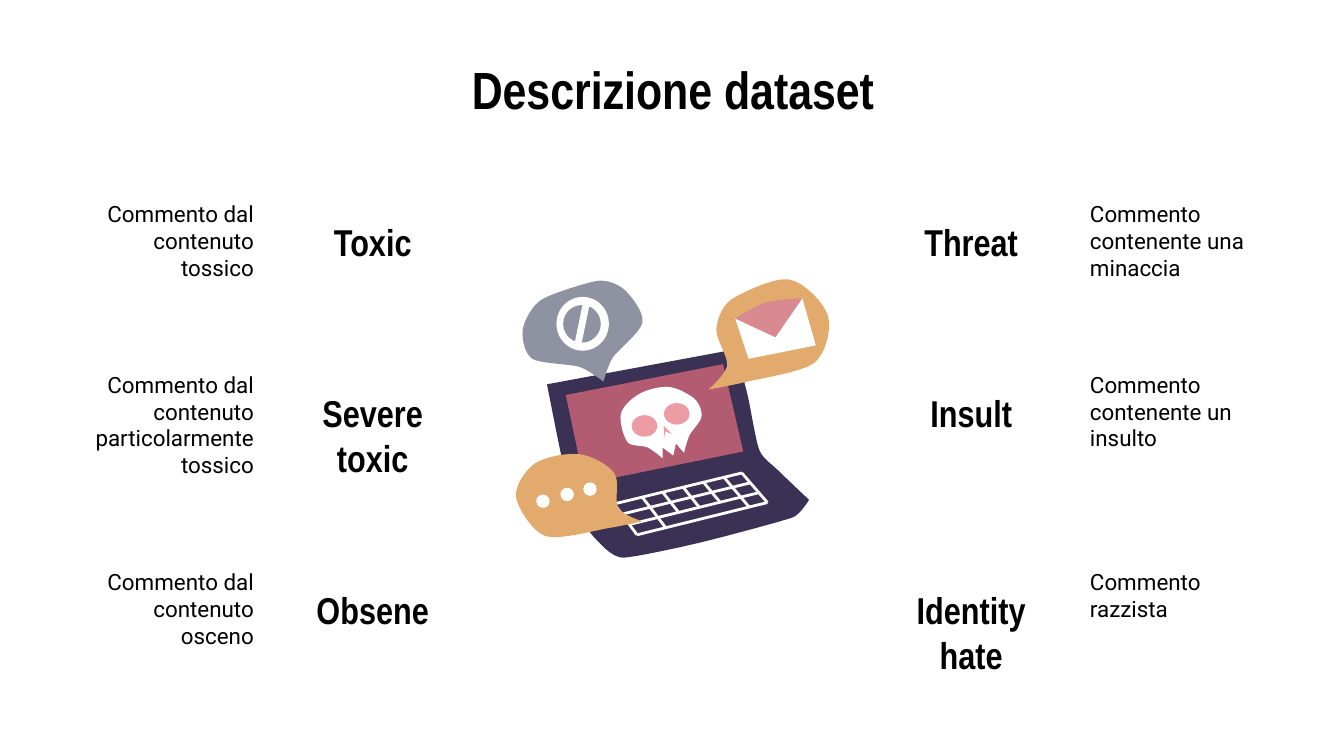
"""Build the dataset description slide with its laptop illustration."""
import math

import lxml.etree
import pptx
import pptx.dml.color
import pptx.enum.shapes
import pptx.enum.text
import pptx.oxml.ns
import pptx.util

Cm = pptx.util.Cm
ALIGN = pptx.enum.text.PP_ALIGN

COLOURS = {
    "black": "000000", "white": "FFFFFF", "navy": "3B3155", "screen": "B35C71",
    "pink": "EB9DA3", "flap": "D98A90", "orange": "E2AA6C", "grey": "8F92A1",
}
SLIDE_WIDTH, SLIDE_HEIGHT = 25.4, 14.29
ROW_TOPS = (3.53, 6.76, 10.49)
DESCRIPTION = {"left": 1.27, "width": 3.78, "drop": 0, "line": 0.51}
LABEL = {"left": 5.28, "width": 3.53, "drop": 0.36, "line": 0.87}

LEFT_CLASSES = [
    ("Toxic", 1, "Commento dal contenuto tossico", 3),
    ("Severe toxic", 2, "Commento dal contenuto particolarmente tossico", 4),
    ("Obsene", 1, "Commento dal contenuto osceno", 3),
]
RIGHT_CLASSES = [
    ("Threat", 1, "Commento contenente una minaccia", 3),
    ("Insult", 1, "Commento contenente un insulto", 3),
    ("Identity hate", 2, "Commento razzista", 2),
]

ART_UNIT = Cm(0.0254)
CURVE_STEPS = 8
CORNER_COSINE = 0.3
LAPTOP = [(547, 260), (407, 286), (426, 376), (447, 405), (464, 415), (520, 404),
          (590, 385), (602, 372), (580, 351), (565, 335), (556, 293)]
SCREEN = [(538, 271), (421, 294), (435, 360), (553, 336)]
KEYBOARD = [(457, 375), (552, 352), (571, 374), (474, 398)]
SKULL = [(498, 288), (476, 293), (462, 308), (467, 329), (482, 333), (493, 341), (493, 333),
         (501, 339), (503, 330), (509, 337), (513, 324), (522, 310), (517, 297)]
NOSE = [(494, 317), (494, 327), (495, 321), (500, 323)]
CHAT_BUBBLE = [(431, 338), (398, 345), (384, 370), (406, 399), (453, 393), (478, 388),
               (460, 378), (457, 352)]
MAIL_BUBBLE = [(587, 208), (544, 223), (533, 245), (541, 272), (527, 290), (556, 284),
               (606, 270), (616, 235)]
BAN_BUBBLE = [(445, 209), (403, 223), (389, 245), (396, 267), (431, 273), (449, 284),
              (456, 266), (478, 240), (465, 216)]
ENVELOPE = [(547, 237), (557, 267), (607, 257), (597, 222)]
FLAP = [(547, 237), (577, 251), (597, 222), (570, 225)]
SLASH = [(434, 224), (427, 258), (432, 259), (439, 225)]
EYES = [(470, 309), (494, 300)]
DOTS = [(399, 368), (417, 363), (434, 359)]


def rgb(name):
    return pptx.dml.color.RGBColor.from_string(COLOURS[name])


def add_text(slide, text, left, top, width, height, *, size, font, bold=False,
             align=ALIGN.CENTER, anchor=pptx.enum.text.MSO_ANCHOR.TOP):
    box = slide.shapes.add_textbox(Cm(left), Cm(top), Cm(width), Cm(height))
    frame = box.text_frame
    frame.word_wrap = True
    frame.vertical_anchor = anchor
    frame.margin_left = frame.margin_right = Cm(0.25)
    frame.margin_top = frame.margin_bottom = Cm(0.25)
    paragraph = frame.paragraphs[0]
    paragraph.alignment = align
    run = paragraph.add_run()
    run.text = text
    run.font.size = pptx.util.Pt(size)
    run.font.name = font
    run.font.bold = bold
    run.font.color.rgb = rgb("black")


def add_column(slide, classes, align, mirrored):
    for top, (label, label_lines, description, description_lines) in zip(ROW_TOPS, classes):
        for text, lines, column, style in (
            (description, description_lines, DESCRIPTION,
             {"size": 12, "font": "Roboto", "align": align}),
            (label, label_lines, LABEL, {"size": 20, "font": "Arial Narrow", "bold": True}),
        ):
            left, width = column["left"], column["width"]
            if mirrored:
                left = SLIDE_WIDTH - left - width
            add_text(slide, text, left, top + column["drop"], width,
                     0.5 + column["line"] * lines, **style)


def paint(shape, colour):
    shape.fill.solid()
    shape.fill.fore_color.rgb = rgb(colour)
    shape.line.fill.background()
    shape.shadow.inherit = False


def tangent(before, point, after):
    ax, ay = point[0] - before[0], point[1] - before[1]
    bx, by = after[0] - point[0], after[1] - point[1]
    lengths = math.hypot(ax, ay), math.hypot(bx, by)
    if ax * bx + ay * by < CORNER_COSINE * lengths[0] * lengths[1]:
        return 0, 0
    reach = min(lengths) / sum(lengths)
    return (ax + bx) * reach, (ay + by) * reach


def smooth(points):
    count = len(points)
    tangents = [tangent(points[i - 1], points[i], points[(i + 1) % count])
                for i in range(count)]
    curve = []
    for i in range(count):
        j = (i + 1) % count
        for step in range(CURVE_STEPS):
            t = step / CURVE_STEPS
            ease = t * t * (3 - 2 * t)
            leave, arrive = t * (1 - t) ** 2, t * t * (t - 1)
            curve.append(tuple(
                points[i][k] * (1 - ease) + points[j][k] * ease
                + tangents[i][k] * leave + tangents[j][k] * arrive for k in (0, 1)))
    return curve


def add_outline(group, colour, points, curved=True):
    if curved:
        points = smooth(points)
    points = [(x * ART_UNIT, y * ART_UNIT) for x, y in points]
    builder = group.shapes.build_freeform(*points[0])
    builder.add_line_segments(points[1:], close=True)
    paint(builder.convert_to_shape(), colour)


def add_oval(group, colour, left, top, width, height):
    box = [round(value * ART_UNIT) for value in (left, top, width, height)]
    paint(group.shapes.add_shape(pptx.enum.shapes.MSO_SHAPE.OVAL, *box), colour)


def between(start, end, share):
    return tuple(a + (b - a) * share for a, b in zip(start, end))


def add_key_line(group, start, end):
    ends = [round(value * ART_UNIT) for value in (*start, *end)]
    line = group.shapes.add_connector(pptx.enum.shapes.MSO_CONNECTOR.STRAIGHT, *ends)
    line.line.color.rgb = rgb("white")
    line.line.width = pptx.util.Pt(1.5)
    properties = line.element.find(pptx.oxml.ns.qn("p:spPr"))
    lxml.etree.SubElement(properties, pptx.oxml.ns.qn("a:effectLst"))


def add_keyboard(group):
    back_left, back_right, front_right, front_left = KEYBOARD
    for row in range(4):
        add_key_line(group, between(back_left, front_left, row / 3),
                     between(back_right, front_right, row / 3))
    columns = [0, 1] + [0.22 + 0.16 * step for step in range(5)]
    for index, share in enumerate(columns):
        back = between(back_left, back_right, share)
        front = between(front_left, front_right, share)
        depth = 2 / 3 if index in (3, 4, 5) else 1
        add_key_line(group, back, between(back, front, depth))


def add_illustration(slide):
    group = slide.shapes.add_group_shape()
    add_outline(group, "navy", LAPTOP)
    add_outline(group, "screen", SCREEN, curved=False)
    add_keyboard(group)
    add_outline(group, "white", SKULL)
    for eye in EYES:
        add_oval(group, "pink", *eye, 19, 16)
    add_outline(group, "pink", NOSE)
    add_outline(group, "orange", CHAT_BUBBLE)
    for dot in DOTS:
        add_oval(group, "white", *dot, 10, 10)
    add_outline(group, "orange", MAIL_BUBBLE)
    add_outline(group, "white", ENVELOPE, curved=False)
    add_outline(group, "flap", FLAP)
    add_outline(group, "grey", BAN_BUBBLE)
    add_oval(group, "white", 414, 221, 39, 40)
    add_oval(group, "grey", 419, 227, 28, 28)
    add_outline(group, "white", SLASH, curved=False)


def main():
    presentation = pptx.Presentation()
    presentation.slide_width, presentation.slide_height = Cm(SLIDE_WIDTH), Cm(SLIDE_HEIGHT)
    slide = presentation.slides.add_slide(presentation.slide_layouts[6])
    add_text(slide, "Descrizione dataset", 2.01, 1.02, 21.41, 1.32, size=28, bold=True,
             font="Arial Narrow", anchor=pptx.enum.text.MSO_ANCHOR.MIDDLE)
    add_column(slide, LEFT_CLASSES, ALIGN.RIGHT, mirrored=False)
    add_column(slide, RIGHT_CLASSES, ALIGN.LEFT, mirrored=True)
    add_illustration(slide)
    presentation.save("out.pptx")


if __name__ == "__main__":
    main()
